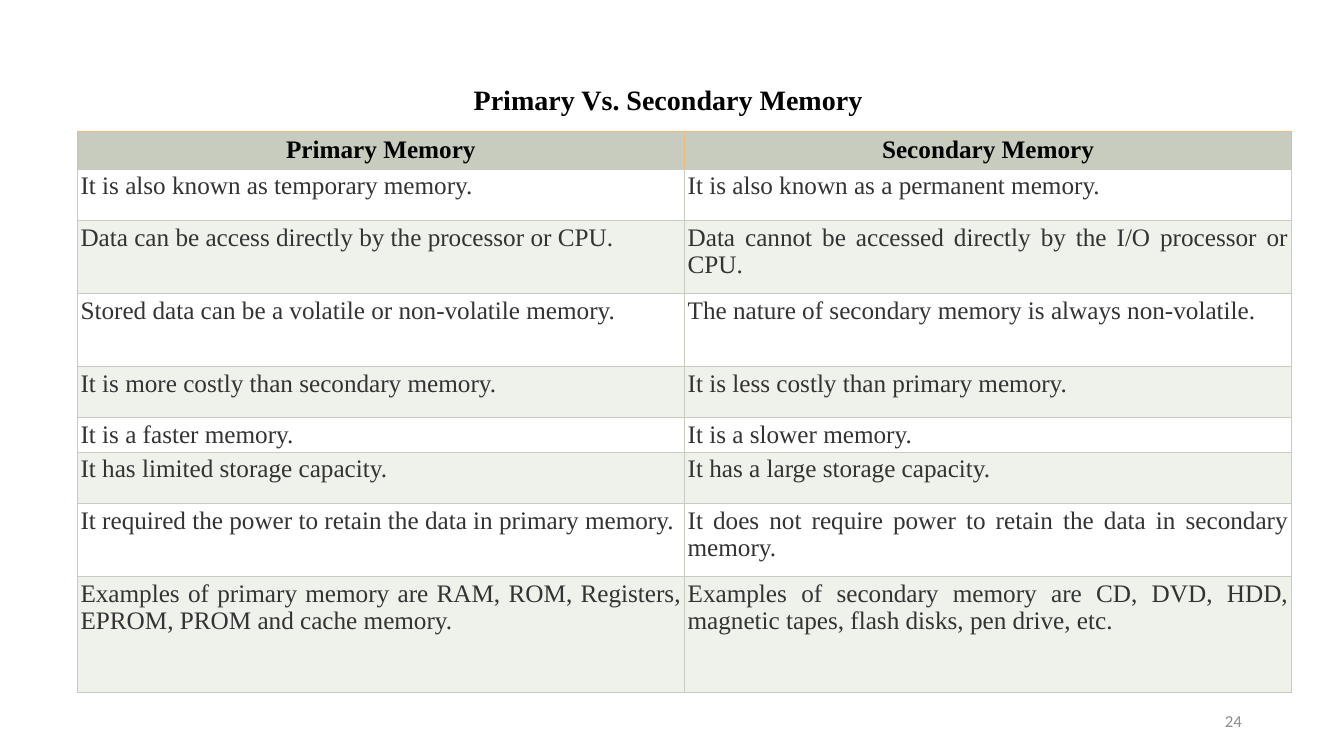
from dataclasses import dataclass

from lxml import etree
from pptx import Presentation
from pptx import util as u
from pptx.dml.color import RGBColor
from pptx.enum import text
from pptx.oxml import ns

BLACK = RGBColor(0x00, 0x00, 0x00)
INK = RGBColor(0x33, 0x33, 0x33)
GREY = RGBColor(0x8C, 0x8C, 0x8C)
SAGE = RGBColor(0xC7, 0xCC, 0xBE)
PALE = RGBColor(0xEF, 0xF1, 0xEB)
WHITE = RGBColor(0xFF, 0xFF, 0xFF)
AMBER = RGBColor(0xF0, 0xBA, 0x7B)
SERIF = "Times New Roman"
ALIGN = text.PP_ALIGN


@dataclass(frozen=True)
class Row:
    height: float
    first: str
    second: str


@dataclass(frozen=True)
class Look:
    fill: RGBColor
    color: RGBColor
    bold: bool
    align: ALIGN
    inset: float
    edge: RGBColor


HEAD = Look(SAGE, BLACK, True, ALIGN.CENTER, 0.13, AMBER)
ODD = Look(WHITE, INK, False, ALIGN.JUSTIFY, 0.08, SAGE)
EVEN = Look(PALE, INK, False, ALIGN.JUSTIFY, 0.08, SAGE)

ROWS = [
    Row(0.96, "Primary Memory", "Secondary Memory"),
    Row(1.29, "It is also known as temporary memory.",
        "It is also known as a permanent memory."),
    Row(1.84, "Data can be access directly by the processor or CPU.",
        "Data cannot be accessed directly by the I/O processor or CPU."),
    Row(1.84, "Stored data can be a volatile or non-volatile memory.",
        "The nature of secondary memory is always non-volatile."),
    Row(1.29, "It is more costly than secondary memory.",
        "It is less costly than primary memory."),
    Row(0.87, "It is a faster memory.", "It is a slower memory."),
    Row(1.29, "It has limited storage capacity.",
        "It has a large storage capacity."),
    Row(1.84, "It required the power to retain the data in primary memory.",
        "It does not require power to retain the data in secondary memory."),
    Row(2.92, "Examples of primary memory are RAM, ROM, Registers, EPROM, "
        "PROM and cache memory.",
        "Examples of secondary memory are CD, DVD, HDD, magnetic tapes, "
        "flash disks, pen drive, etc."),
]


def style(para, face: str, size: float, color: RGBColor, bold: bool,
          align: ALIGN) -> None:
    para.alignment = align
    para.font.name = face
    para.font.size = u.Pt(size)
    para.font.color.rgb = color
    para.font.bold = bold


def place(shape, left: float, top: float, width: float, height: float) -> None:
    shape.left, shape.top = u.Cm(left), u.Cm(top)
    shape.width, shape.height = u.Cm(width), u.Cm(height)


def border(cell, side: str, color: RGBColor) -> None:
    props = cell._tc.get_or_add_tcPr()
    line = etree.SubElement(props, ns.qn(f"a:ln{side}"), w=str(u.Pt(0.5)))
    fill = etree.SubElement(line, ns.qn("a:solidFill"))
    etree.SubElement(fill, ns.qn("a:srgbClr"), val=str(color))


def write(cell, words: str, look: Look) -> None:
    cell.text = words
    style(cell.text_frame.paragraphs[0], SERIF, 18, look.color, look.bold,
          look.align)
    cell.margin_left = cell.margin_right = u.Cm(look.inset)
    cell.margin_top = cell.margin_bottom = u.Cm(look.inset)
    for side in "LRT":
        border(cell, side, look.edge)
    border(cell, "B", SAGE)
    cell.fill.solid()
    cell.fill.fore_color.rgb = look.fill


def main() -> None:
    deck = Presentation()
    deck.slide_width, deck.slide_height = u.Cm(33.87), u.Cm(19.05)
    slide = deck.slides.add_slide(deck.slide_layouts[5])

    title = slide.shapes.title
    place(title, 0.89, 2, 31.9, 1)
    title.text = "Primary Vs. Secondary Memory"
    title.text_frame.vertical_anchor = text.MSO_ANCHOR.MIDDLE
    style(title.text_frame.paragraphs[0], SERIF, 20, BLACK, True, ALIGN.CENTER)

    total = sum(row.height for row in ROWS)
    table = slide.shapes.add_table(len(ROWS), 2, u.Cm(1.95), u.Cm(3.3),
                                   u.Cm(30.6), u.Cm(total)).table
    for i, row in enumerate(ROWS):
        table.rows[i].height = u.Cm(row.height)
        look = HEAD if i == 0 else ODD if i % 2 else EVEN
        for j, words in enumerate((row.first, row.second)):
            write(table.cell(i, j), words, look)

    page = slide.shapes.add_textbox(u.Cm(23.93), u.Cm(17.65), u.Cm(7.62),
                                    u.Cm(1.02)).text_frame
    page.word_wrap = True
    page.vertical_anchor = text.MSO_ANCHOR.MIDDLE
    page.text = "24"
    style(page.paragraphs[0], "Calibri", 12, GREY, False, ALIGN.RIGHT)

    deck.save("out.pptx")


if __name__ == "__main__":
    main()
